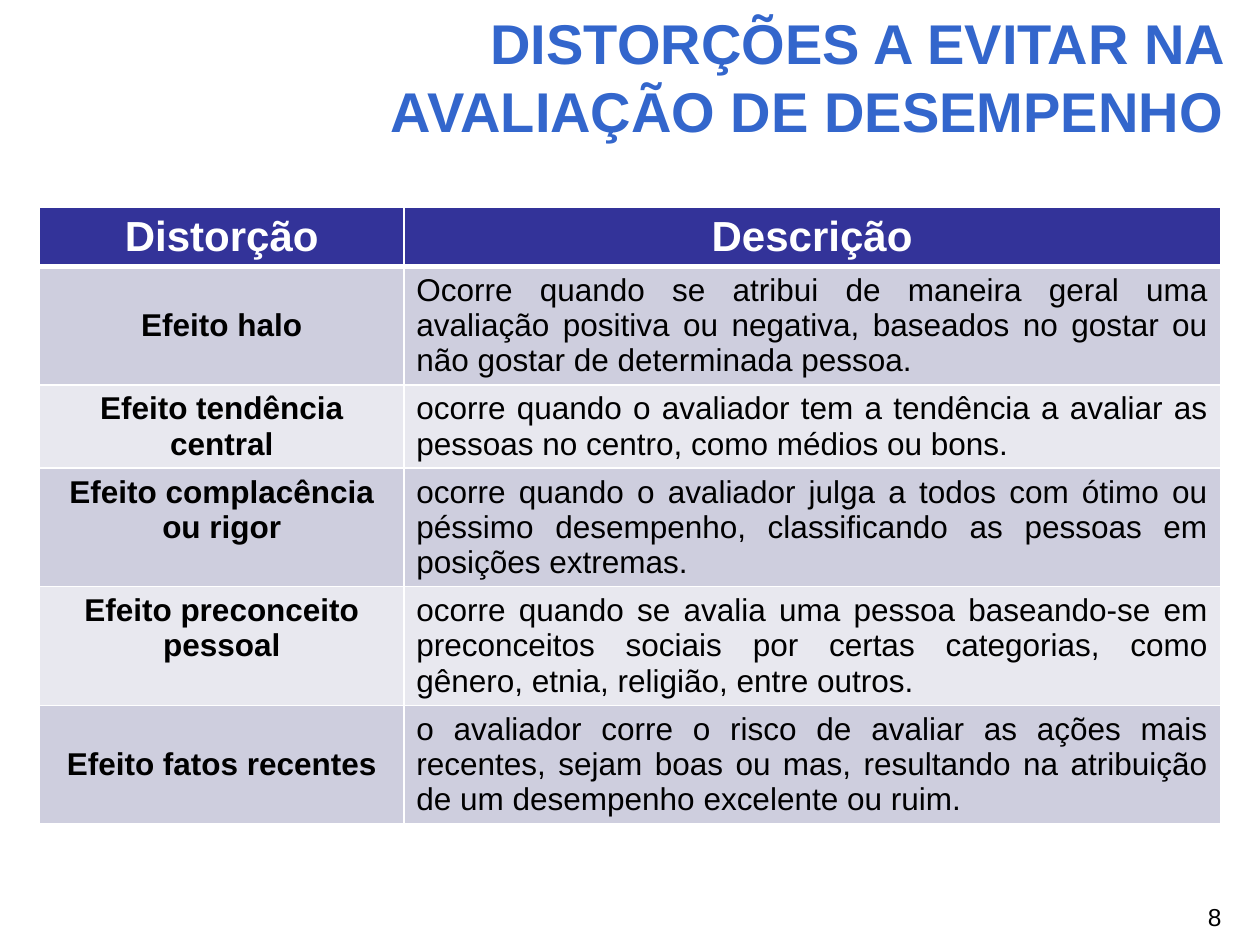
from dataclasses import dataclass

from lxml.etree import SubElement
from pptx import Presentation
from pptx.dml.color import RGBColor
from pptx.enum.text import MSO_ANCHOR, PP_ALIGN
from pptx.oxml.ns import qn
from pptx.util import Cm, Pt


@dataclass(frozen=True)
class Theme:
    font: str = "Arial"
    title: str = "3366CC"
    header: str = "333399"
    bands: tuple = ("CECEDE", "E8E8EF")
    white: str = "FFFFFF"
    black: str = "000000"
    title_size: int = 32
    header_size: int = 24
    body_size: int = 18
    number_size: int = 14


THEME = Theme()
TITLE = "DISTORÇÕES A EVITAR NA AVALIAÇÃO DE DESEMPENHO"
HEADERS = ("Distorção", "Descrição")
# Name, description, anchor of the name, row height in cm
DISTORTIONS = (
    ("Efeito halo",
     "Ocorre quando se atribui de maneira geral uma avaliação positiva ou "
     "negativa, baseados no gostar ou não gostar de determinada pessoa.",
     MSO_ANCHOR.MIDDLE, 2.39),
    ("Efeito tendência central",
     "ocorre quando o avaliador tem a tendência a avaliar as pessoas no "
     "centro, como médios ou bons.",
     MSO_ANCHOR.TOP, 1.67),
    ("Efeito complacência ou rigor",
     "ocorre quando o avaliador julga a todos com ótimo ou péssimo "
     "desempenho, classificando as pessoas em posições extremas.",
     MSO_ANCHOR.TOP, 2.39),
    ("Efeito preconceito pessoal",
     "ocorre quando se avalia uma pessoa baseando-se em preconceitos sociais "
     "por certas categorias, como gênero, etnia, religião, entre outros.",
     MSO_ANCHOR.TOP, 2.39),
    ("Efeito fatos recentes",
     "o avaliador corre o risco de avaliar as ações mais recentes, sejam boas "
     "ou mas, resultando na atribuição de um desempenho excelente ou ruim.",
     MSO_ANCHOR.MIDDLE, 2.39),
)


def write(tf, text, size, color, align, bold=False):
    p = tf.paragraphs[0]
    p.alignment = align
    r = p.add_run()
    r.text = text
    r.font.name = THEME.font
    r.font.size = Pt(size)
    r.font.bold = bold
    r.font.color.rgb = RGBColor.from_string(color)


def set_borders(cell, bottom=1, top=1):
    """Draw white borders; they must precede the fill in the cell properties."""
    tc_pr = cell._tc.get_or_add_tcPr()
    for side, width in (("L", 1), ("R", 1), ("T", top), ("B", bottom)):
        ln = SubElement(tc_pr, qn(f"a:ln{side}"), w=str(Pt(width)))
        fill = SubElement(ln, qn("a:solidFill"))
        SubElement(fill, qn("a:srgbClr"), val=THEME.white)


def fill_cell(cell, color):
    cell.fill.solid()
    cell.fill.fore_color.rgb = RGBColor.from_string(color)


def add_title(s, left, top, width, height):
    sp = s.shapes.title
    sp.left, sp.top, sp.width, sp.height = left, top, width, height
    tf = sp.text_frame
    tf.word_wrap = True
    tf.vertical_anchor = MSO_ANCHOR.MIDDLE
    write(tf, TITLE, THEME.title_size, THEME.title, PP_ALIGN.RIGHT, bold=True)


def add_distortion_table(s, left, top, width):
    heights = [Cm(1.2)] + [Cm(row[3]) for row in DISTORTIONS]
    table = s.shapes.add_table(len(heights), len(HEADERS), left, top,
                               width, sum(heights)).table
    name_width = Cm(7.34)
    table.columns[0].width = name_width
    table.columns[1].width = width - name_width
    for row, height in zip(table.rows, heights):
        row.height = height

    for col, text in enumerate(HEADERS):
        cell = table.cell(0, col)
        set_borders(cell, bottom=3)
        fill_cell(cell, THEME.header)
        write(cell.text_frame, text, THEME.header_size, THEME.white,
              PP_ALIGN.CENTER, bold=True)

    for i, (name, description, anchor, _) in enumerate(DISTORTIONS):
        cells = table.cell(i + 1, 0), table.cell(i + 1, 1)
        for cell in cells:
            set_borders(cell, top=3 if i == 0 else 1)
            fill_cell(cell, THEME.bands[i % 2])
        cells[0].vertical_anchor = anchor
        write(cells[0].text_frame, name, THEME.body_size, THEME.black,
              PP_ALIGN.CENTER, bold=True)
        write(cells[1].text_frame, description, THEME.body_size, THEME.black,
              PP_ALIGN.JUSTIFY)


def add_page_number(s, left, top, width, height):
    tf = s.shapes.add_textbox(left, top, width, height).text_frame
    tf.word_wrap = True
    write(tf, "8", THEME.number_size, THEME.black, PP_ALIGN.LEFT)


def main():
    prs = Presentation()
    prs.slide_width, prs.slide_height = Cm(25.4), Cm(19.05)
    s = prs.slides.add_slide(prs.slide_layouts[5])
    add_title(s, Cm(4.9), Cm(0.33), Cm(20.02), Cm(2.41))
    add_distortion_table(s, Cm(0.8), Cm(4.17), Cm(23.8))
    add_page_number(s, Cm(24.1), Cm(18.06), Cm(1.3), Cm(0.86))
    prs.save("out.pptx")


if __name__ == "__main__":
    main()
